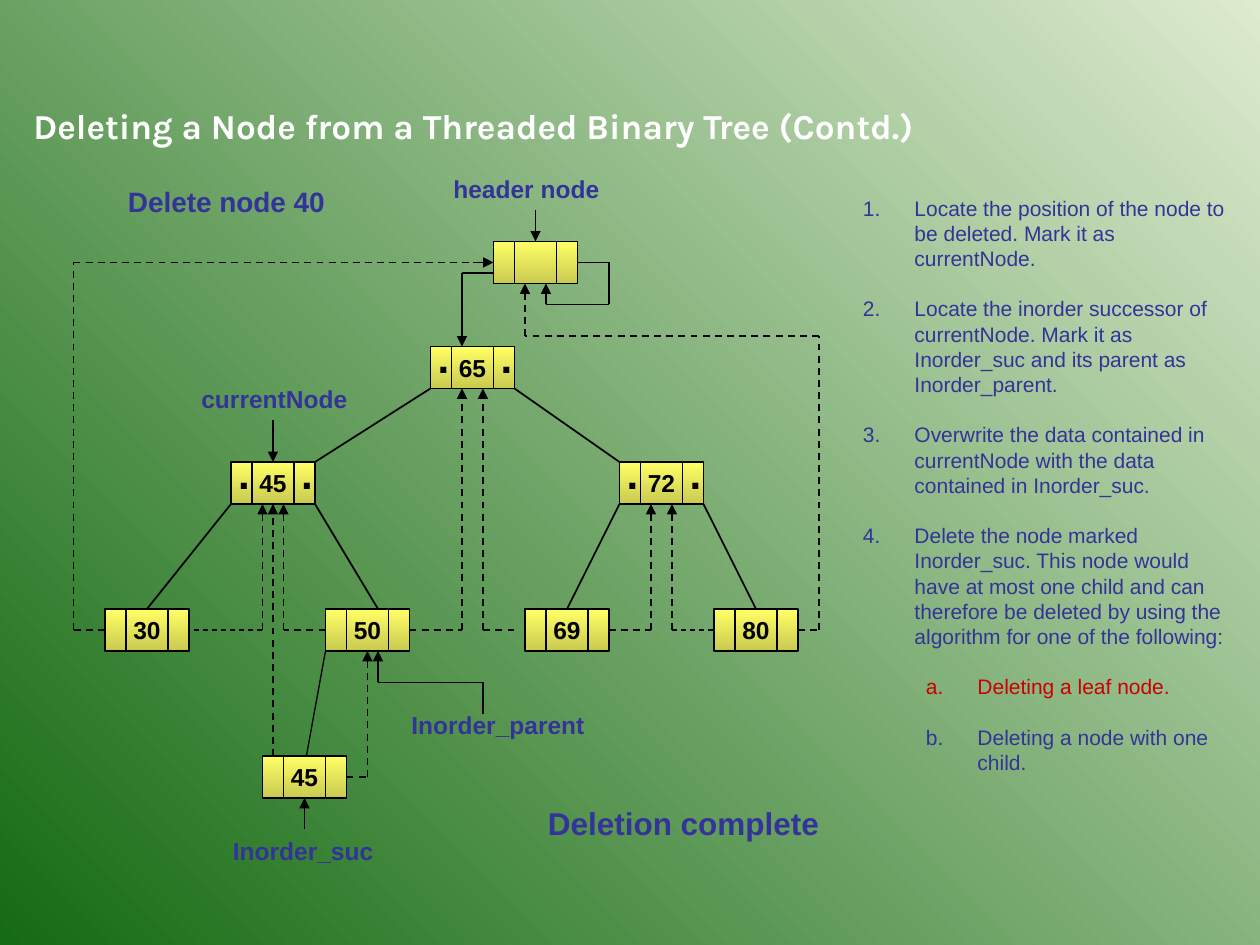
"""Build the slide on deleting a node from a threaded binary tree."""
from lxml import etree
from pptx import Presentation
from pptx import util as u
from pptx.dml.color import RGBColor
from pptx.enum import dml, shapes, text
from pptx.oxml.ns import qn

BLACK = RGBColor(0x00, 0x00, 0x00)
WHITE = RGBColor(0xFF, 0xFF, 0xFF)
INDIGO = RGBColor(0x33, 0x33, 0x99)
RED = RGBColor(0xCC, 0x00, 0x00)
YELLOW = RGBColor(0xFF, 0xFF, 0x66)
OLIVE = RGBColor(0xCA, 0xCA, 0x51)
PALE = RGBColor(0xDD, 0xEB, 0xCF)
GREEN = RGBColor(0x15, 0x6B, 0x13)
GRID = 2.54 / 12
NODE_W, NODE_H = 8, 4

prs = Presentation()
prs.slide_width, prs.slide_height = u.Cm(25.4), u.Cm(19.05)
s = prs.slides.add_slide(prs.slide_layouts[6])


def add_run(p, words, size, color, bold=True, font="Arial"):
    r = p.add_run()
    r.text = words
    r.font.name, r.font.size, r.font.bold = font, u.Pt(size), bold
    r.font.color.rgb = color


def add_route(points, width=1, dashed=False, arrow=True):
    for i, (a, b) in enumerate(zip(points, points[1:]), 2):
        ends = [u.Cm(n * GRID) for n in a + b]
        c = s.shapes.add_connector(shapes.MSO_CONNECTOR.STRAIGHT, *ends)
        c.line.color.rgb, c.line.width = BLACK, u.Pt(width)
        if dashed:
            c.line.dash_style = dml.MSO_LINE.DASH
        if arrow and i == len(points):
            etree.SubElement(c.line._get_or_add_ln(), qn("a:tailEnd"), type="triangle")
        etree.SubElement(c._element.spPr, qn("a:effectLst"))


fill = s.background.fill
fill.gradient()
fill.gradient_angle = 225
for stop, color in zip(fill.gradient_stops, (PALE, GREEN)):
    stop.color.rgb = color

# yapf: disable
edges = [
    [(22, 48), (14, 58)], [(41, 37), (30, 44)], [(49, 37), (59, 44)],
    [(67, 48), (72, 58)], [(59, 48), (54, 58)], [(30, 48), (36, 58)],
]
for edge in edges:
    add_route(edge, arrow=False)
add_route([(31, 62), (29, 73)], 0.75, arrow=False)

nodes = [
    ("", 47, 23, False), ("65", 41, 33, True), ("45", 22, 44, True),
    ("72", 59, 44, True), ("30", 10, 58, False), ("50", 31, 58, False),
    ("69", 50, 58, False), ("80", 68, 58, False), ("45", 25, 72, False),
]
for key, x, y, dotted in nodes:
    box = [u.Cm(n * GRID) for n in (x, y, NODE_W, NODE_H)]
    sp = s.shapes.add_shape(shapes.MSO_SHAPE.RECTANGLE, *box)
    sp.shadow.inherit = False
    sp.fill.gradient()
    sp.fill.gradient_angle = 270
    for stop, color in zip(sp.fill.gradient_stops, (YELLOW, OLIVE)):
        stop.color.rgb = color
    sp.line.color.rgb, sp.line.width = BLACK, u.Pt(1)
    if key:
        tf = sp.text_frame
        tf.word_wrap = False
        tf.vertical_anchor = text.MSO_ANCHOR.MIDDLE
        p = tf.paragraphs[0]
        p.alignment = text.PP_ALIGN.CENTER
        add_run(p, key, 14, BLACK)
    for dx in (2, 6):
        add_route([(x + dx, y), (x + dx, y + NODE_H)], arrow=False)
    for dx in (-0.5, 5.5) if dotted else ():
        box = [u.Cm(n * GRID) for n in (x + dx, y - 2, 3.5, 6)]
        tf = s.shapes.add_textbox(*box).text_frame
        tf.word_wrap = False
        add_run(tf.paragraphs[0], ".", 24, BLACK)

threads = [
    [(76, 60), (78, 60), (78, 32), (50, 32), (50, 27)],
    [(58, 60), (62, 60), (62, 48)],
    [(49, 60), (46, 60), (46, 37)],
    [(31, 60), (27, 60), (27, 48)],
    [(39, 60), (44, 60), (44, 37)],
    [(33, 74), (35, 74), (35, 62)],
    [(26, 72), (26, 48)], [(64, 60), (64, 48)], [(25, 60), (25, 48)],
]
for thread in threads:
    add_route(thread, dashed=True)
add_route([(10, 60), (7, 60), (7, 25), (45, 25)], dashed=True, arrow=False)
for thread in ([(64, 60), (68, 60)], [(25, 60), (18, 60)]):
    add_route(thread, 0.75, dashed=True, arrow=False)

header_links = [
    [(45, 25), (47, 25)], [(47, 26), (44, 26), (44, 33)],
    [(55, 25), (58, 25), (58, 29), (52, 29), (52, 27)], [(51, 20), (51, 23)],
]
for link in header_links:
    add_route(link)
pointers = [
    [(26, 40), (26, 44)], [(29, 79), (29, 76)],
    [(46, 68), (46, 65), (36, 65), (36, 62)],
]
for pointer in pointers:
    add_route(pointer, 0.75)

labels = [
    ("header node", 42, 16, 19, 4, 14, INDIGO, "Arial"),
    ("Delete node 40", 11, 17, 27, 4.4, 16, INDIGO, "Arial"),
    ("currentNode", 18, 36, 19, 4, 14, INDIGO, "Arial"),
    ("Inorder_suc", 21, 79, 19, 4, 14, INDIGO, "Arial"),
    ("Inorder_parent", 38, 67, 19, 4, 14, INDIGO, "Arial"),
    ("Deletion complete", 51, 76, 36, 4.8, 18, INDIGO, "Arial"),
    ("Deleting a Node from a Threaded Binary Tree (Contd.)",
     2, 9.4, 100, 5.2, 20, WHITE, "Karla"),
]
for words, x, y, w, h, size, color, font in labels:
    tf = s.shapes.add_textbox(*[u.Cm(n * GRID) for n in (x, y, w, h)]).text_frame
    tf.word_wrap = True
    add_run(tf.paragraphs[0], words, size, color, font=font)

steps = [
    ("Locate the position of the node to be deleted. Mark it as currentNode.", 0, INDIGO),
    ("Locate the inorder successor of currentNode. Mark it as Inorder_suc "
     "and its parent as Inorder_parent.", 0, INDIGO),
    ("Overwrite the data contained in currentNode with the data contained "
     "in Inorder_suc.", 0, INDIGO),
    ("Delete the node marked Inorder_suc. This node would have at most one child "
     "and can therefore be deleted by using the algorithm for one of the following:",
     0, INDIGO),
    ("Deleting a leaf node.", 1, RED),
    ("Deleting a node with one child.", 1, INDIGO),
]
tf = s.shapes.add_textbox(*[u.Cm(n * GRID) for n in (81, 18, 38, 56.4)]).text_frame
tf.word_wrap = True
for i, (words, level, color) in enumerate(steps):
    p = tf.add_paragraph() if i else tf.paragraphs[0]
    p.level = level
    pPr = p._p.get_or_add_pPr()
    pPr.set("marL", str(u.Cm(1.04 + 1.27 * level)))
    pPr.set("indent", str(-u.Cm(1.04)))
    bu = etree.SubElement(pPr, qn("a:buClr"))
    etree.SubElement(bu, qn("a:srgbClr"), val=str(color))
    scheme = ("arabicPeriod", "alphaLcPeriod")[level]
    etree.SubElement(pPr, qn("a:buAutoNum"), type=scheme)
    p.line_spacing = u.Pt(14.4)
    if i:
        p.space_before = u.Pt(14.4)
    add_run(p, words, 12, color, bold=False)

prs.save("out.pptx")
